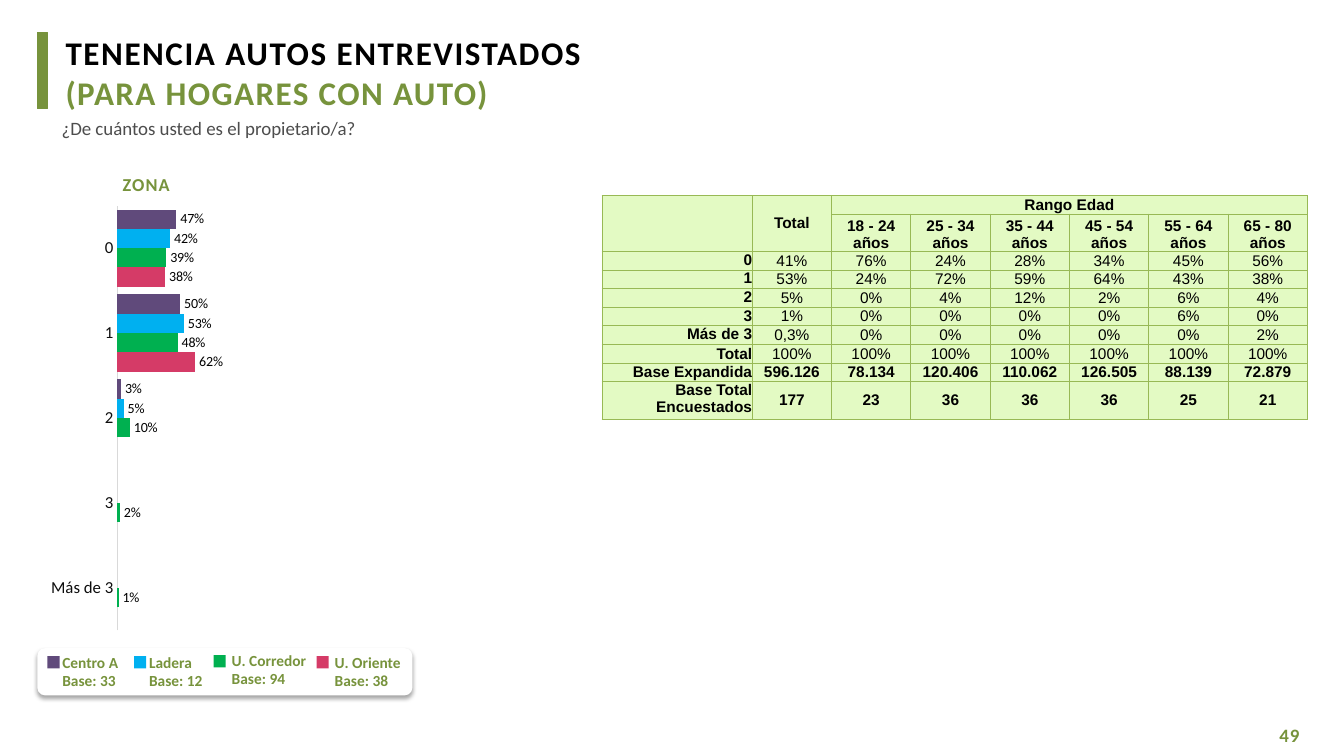
from dataclasses import dataclass
from typing import Optional

from lxml import etree
from pptx import Presentation, oxml
from pptx import util as u
from pptx.chart import data as chart_data
from pptx.dml.color import RGBColor
from pptx.enum import chart as chart_enum, shapes, text
from pptx.oxml import ns

COLORS = {
    "green": "77933C", "black": "000000", "gray": "4D4D4D", "white": "FFFFFF",
    "axis_text": "0D0D0D", "axis_line": "D9D9D9", "border": "98B955", "cell": "E3FAC3",
    "purple": "604A7B", "blue": "00B0F0", "emerald": "00B050", "pink": "D53B67",
}
WIDTH, HEIGHT = u.Inches(13.33), u.Inches(7.5)
CENTER, RIGHT = text.PP_ALIGN.CENTER, text.PP_ALIGN.RIGHT
TOP, MIDDLE, BOTTOM = text.MSO_ANCHOR.TOP, text.MSO_ANCHOR.MIDDLE, text.MSO_ANCHOR.BOTTOM


@dataclass(frozen=True)
class Box:
    """A frame in percent of the slide's width and height."""
    left: float
    top: float
    width: float
    height: float

    def lengths(self) -> list[int]:
        sides = (WIDTH, HEIGHT, WIDTH, HEIGHT)
        shares = (self.left, self.top, self.width, self.height)
        return [int(side * share / 100) for side, share in zip(sides, shares)]


@dataclass(frozen=True)
class Line:
    wording: str
    size: float
    color: str = "green"
    bold: bool = True
    spacing: int = 0
    face: str = "Calibri"


@dataclass(frozen=True)
class Zone:
    name: str
    base: int
    color: str
    values: tuple[Optional[float], ...]
    swatch: tuple[float, float]
    label: Box


ZONES = [
    Zone("Centro A", 33, "purple", (0.47, 0.5, 0.03, None, None),
         (3.53, 86.8), Box(3.9, 85.73, 5.7, 6.27)),
    Zone("Ladera", 12, "blue", (0.42, 0.53, 0.05, None, None),
         (9.98, 86.8), Box(10.35, 85.73, 5.55, 6.27)),
    Zone("U. Corredor", 94, "emerald", (0.39, 0.48, 0.1, 0.02, 0.01),
         (15.9, 86.67), Box(16.5, 85.47, 7.13, 6.27)),
    Zone("U. Oriente", 38, "pink", (0.38, 0.62, None, None, None),
         (23.56, 86.8), Box(24.16, 85.73, 6.53, 6.27)),
]
CATEGORIES = ["0", "1", "2", "3", "Más de 3"]
AGES = ["18 - 24", "25 - 34", "35 - 44", "45 - 54", "55 - 64", "65 - 80"]
TABLE_ROWS = [
    ["", "Total", "Rango Edad"] + [""] * 5,
    ["", ""] + [f"{age} años" for age in AGES],
    ["0", "41%", "76%", "24%", "28%", "34%", "45%", "56%"],
    ["1", "53%", "24%", "72%", "59%", "64%", "43%", "38%"],
    ["2", "5%", "0%", "4%", "12%", "2%", "6%", "4%"],
    ["3", "1%", "0%", "0%", "0%", "0%", "6%", "0%"],
    ["Más de 3", "0,3%", "0%", "0%", "0%", "0%", "0%", "2%"],
    ["Total"] + ["100%"] * 7,
    ["Base Expandida", "596.126", "78.134", "120.406", "110.062", "126.505", "88.139", "72.879"],
    ["Base Total Encuestados", "177", "23", "36", "36", "36", "25", "21"],
]
TALL_ROWS = (1, 9)


def rgb(name: str) -> RGBColor:
    return RGBColor.from_string(COLORS[name])


def apply(target, values: dict) -> None:
    for name, value in values.items():
        setattr(target, name, value)


def write(paragraph, line: Line) -> None:
    run = paragraph.add_run()
    run.text = line.wording
    apply(run.font, {"name": line.face, "size": u.Pt(line.size), "bold": line.bold})
    run.font.color.rgb = rgb(line.color)
    if line.spacing:
        run._r.get_or_add_rPr().set("spc", str(line.spacing))


def add_text(parent, box: Box, lines: list[Line], align=None, label=False, gap: float = 0) -> None:
    frame = parent.add_textbox(*box.lengths()).text_frame
    frame.word_wrap = not label
    if not label:
        apply(frame, {"margin_left": 0, "margin_right": 0,
                      "margin_top": u.Inches(0.01), "margin_bottom": 0})
    for index, line in enumerate(lines):
        paragraph = frame.add_paragraph() if index else frame.paragraphs[0]
        paragraph.alignment = align
        if index:
            paragraph.space_before = u.Pt(gap)
        write(paragraph, line)


def add_block(parent, box: Box, color: str, kind=shapes.MSO_SHAPE.RECTANGLE):
    shape = parent.add_shape(kind, *box.lengths())
    shape.shadow.inherit = False
    shape.fill.solid()
    shape.fill.fore_color.rgb = rgb(color)
    shape.line.fill.background()
    return shape


def add_legend(slide) -> None:
    legend = slide.shapes.add_group_shape().shapes
    panel = add_block(legend, Box(2.78, 85.73, 27.91, 6.27), "white",
                      shapes.MSO_SHAPE.ROUNDED_RECTANGLE)
    panel._element.spPr.find(ns.qn("a:effectLst")).append(oxml.parse_xml(
        f'<a:outerShdw {ns.nsdecls("a")} blurRad="{u.Pt(3.1)}" dist="{u.Pt(1.8)}" dir="5400000" '
        'rotWithShape="0"><a:srgbClr val="000000"><a:alpha val="35000"/></a:srgbClr></a:outerShdw>'))
    for zone in ZONES:
        add_block(legend, Box(*zone.swatch, 0.9, 1.6), zone.color)
        add_text(legend, zone.label, [Line(zone.name, 11), Line(f"Base: {zone.base}", 11)], label=True)


def add_zone_chart(slide) -> None:
    numbers = chart_data.CategoryChartData(number_format="0%")
    numbers.categories = CATEGORIES
    for zone in ZONES:
        numbers.add_series(zone.name, zone.values)
    chart = slide.shapes.add_chart(chart_enum.XL_CHART_TYPE.BAR_CLUSTERED,
                                   *Box(-6.68, 24.8, 25.28, 60.4).lengths(), numbers).chart
    apply(chart, {"has_legend": False, "has_title": False})
    plot, categories, scale = chart.plots[0], chart.category_axis, chart.value_axis
    apply(plot, {"gap_width": 40, "overlap": 0, "vary_by_categories": False, "has_data_labels": True})
    apply(plot.data_labels, {"show_value": True, "number_format": "0%", "number_format_is_linked": False,
                             "position": chart_enum.XL_LABEL_POSITION.OUTSIDE_END})
    apply(scale, {"minimum_scale": 0, "maximum_scale": 1, "visible": False, "has_major_gridlines": False})
    apply(categories, {"reverse_order": True, "major_tick_mark": chart_enum.XL_TICK_MARK.NONE})
    apply(categories.format.line, {"width": u.Pt(0.75)})
    categories.format.line.color.rgb = rgb("axis_line")
    fonts = ((chart.font, 10, "black"), (plot.data_labels.font, 10, "black"),
             (categories.tick_labels.font, 12, "axis_text"))
    for font, size, color in fonts:
        apply(font, {"name": "Calibri", "size": u.Pt(size)})
        font.color.rgb = rgb(color)
    for series, zone in zip(plot.series, ZONES):
        series.format.fill.solid()
        series.format.fill.fore_color.rgb = rgb(zone.color)
    area = chart._chartSpace.chart.plotArea
    for layout in area.findall(ns.qn("c:layout")):
        area.remove(layout)
    settings = {"layoutTarget": "inner", "xMode": "edge", "yMode": "edge",
                "x": 0.61, "y": 0.04, "w": 0.37, "h": 0.93}
    parts = "".join(f'<c:{name} val="{value}"/>' for name, value in settings.items())
    area.insert(0, oxml.parse_xml(
        f'<c:layout {ns.nsdecls("c")}><c:manualLayout>{parts}</c:manualLayout></c:layout>'))


def format_cell(cell, row: int, column: int, wording: str) -> None:
    anchor = MIDDLE
    if row < 2 <= column:
        anchor = BOTTOM
    elif column == 0 and wording != "Total":
        anchor = TOP
    apply(cell, {"margin_left": 0, "margin_right": 0, "margin_top": 0, "margin_bottom": 0,
                 "vertical_anchor": anchor})
    properties = cell._tc.get_or_add_tcPr()
    for side in ("lnL", "lnR", "lnT", "lnB"):
        border = etree.SubElement(properties, ns.qn(f"a:{side}"), w=str(u.Pt(0.75)))
        fill = etree.SubElement(border, ns.qn("a:solidFill"))
        etree.SubElement(fill, ns.qn("a:srgbClr"), val=COLORS["border"])
    cell.fill.solid()
    cell.fill.fore_color.rgb = rgb("cell")
    paragraph = cell.text_frame.paragraphs[0]
    paragraph.alignment = CENTER if column or row < 2 else RIGHT
    if wording:
        bold = column == 0 or row < 2 or row > 7
        write(paragraph, Line(wording, 11, "black", bold, face="Arial"))
    else:
        etree.SubElement(paragraph._p, ns.qn("a:endParaRPr"), sz="1100")


def add_age_table(slide) -> None:
    box = Box(44.79, 25.87, 52.51, 29.6)
    width, height = box.lengths()[2:]
    table = slide.shapes.add_table(len(TABLE_ROWS), len(TABLE_ROWS[0]), *box.lengths()).table
    label_width = int(width * 0.213)
    for index, column in enumerate(table.columns):
        column.width = (width - label_width) // 7 if index else label_width
    unit = height // (len(TABLE_ROWS) + len(TALL_ROWS))
    for index, row in enumerate(table.rows):
        row.height = unit * (2 if index in TALL_ROWS else 1)
    for row, wordings in enumerate(TABLE_ROWS):
        for column, wording in enumerate(wordings):
            format_cell(table.cell(row, column), row, column, wording)
    for first, last in (((0, 0), (1, 0)), ((0, 1), (1, 1)), ((0, 2), (0, 7))):
        table.cell(*first).merge(table.cell(*last))


def main() -> None:
    presentation = Presentation()
    apply(presentation, {"slide_width": WIDTH, "slide_height": HEIGHT})
    slide = presentation.slides.add_slide(presentation.slide_layouts[6])
    accent = add_block(slide.shapes, Box(2.78, 4.27, 0.75, 10.13), "green")
    accent.line.color.rgb = rgb("green")
    accent.line.width = u.Pt(0.75)
    add_text(slide.shapes, Box(95.2, 95.6, 3.23, 3.2), [Line("49", 13.5, spacing=60)])
    add_text(slide.shapes, Box(2.03, 22.8, 17.7, 3.07), [Line("ZONA", 13, spacing=80)], CENTER)
    add_legend(slide)
    add_zone_chart(slide)
    add_text(slide.shapes, Box(4.88, 4.13, 55.89, 10.93),
             [Line("TENENCIA AUTOS ENTREVISTADOS", 23.6, "black", spacing=110),
              Line("(PARA HOGARES CON AUTO)", 23.6, spacing=100)], gap=0.7)
    add_text(slide.shapes, Box(4.58, 15.33, 74.49, 3.2),
             [Line("¿De cuántos usted es el propietario/a?", 13.5, "gray", False)])
    add_age_table(slide)
    presentation.save("out.pptx")


if __name__ == "__main__":
    main()
